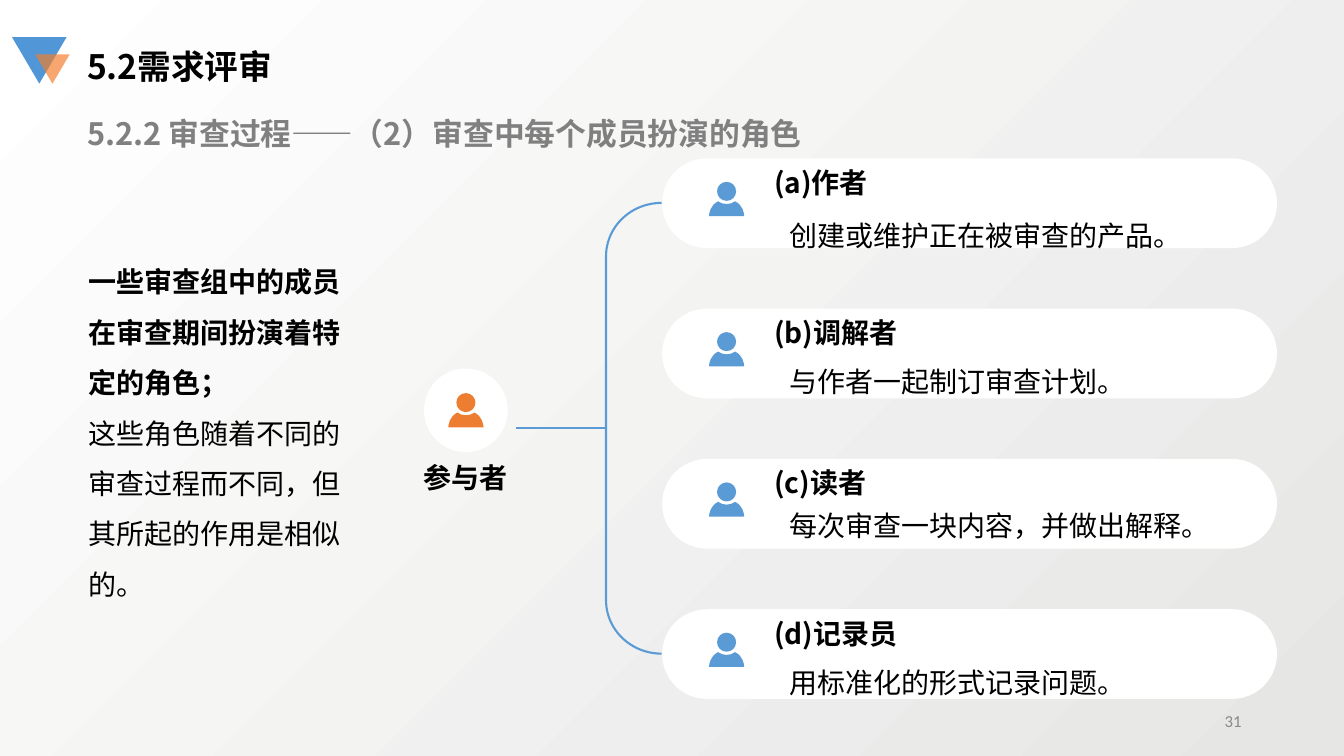
from lxml.etree import Element, SubElement
from pptx import Presentation
from pptx.dml.color import RGBColor
from pptx.enum.shapes import MSO_CONNECTOR as Connector, MSO_SHAPE as Shape
from pptx.enum.text import MSO_ANCHOR as Anchor, PP_ALIGN as Align
from pptx.oxml.ns import qn
from pptx.util import Pt

HEADING_FONT = "Noto Sans CJK SC"
BODY_FONT = "Calibri"
BLUE, ORANGE, WHITE, BLACK = "5B9BD5", "ED7D31", "FFFFFF", "000000"

ROLES = [
    # title, description, drop of the description below the card top
    ("(a)作者", "创建或维护正在被审查的产品。", 31.9),
    ("(b)调解者", "与作者一起制订审查计划。", 29.5),
    ("(c)读者", "每次审查一块内容，并做出解释。", 24.9),
    ("(d)记录员", "用标准化的形式记录问题。", 29.5),
]
FIRST_CARD_TOP, CARD_PITCH = 113.1, 107.35
CARD_LEFT, CARD_WIDTH, CARD_HEIGHT = 473, 439.2, 64.1

# Each outline is a start followed by curves of two handles and an end.
HEAD = [(5.8, 6.8), (5.8, 3.05), (8.85, 0), (12.6, 0),
        (16.35, 0), (19.4, 3.05), (19.4, 6.8),
        (19.4, 10.55), (16.35, 13.6), (12.6, 13.6),
        (8.85, 13.6), (5.8, 10.55), (5.8, 6.8)]
BODY = [(0, 24.5), (0.2, 22.3), (0.8, 16.8), (6.5, 13.9),
        (8.3, 15.2), (10.4, 15.9), (12.6, 15.9),
        (14.8, 15.9), (16.9, 15.2), (18.7, 13.9),
        (24.4, 16.8), (25, 22.3), (25.2, 24.5)]


def rgb(color):
    return RGBColor.from_string(color)


def paint(shape, fill):
    shape.shadow.inherit = False
    shape.fill.solid()
    shape.fill.fore_color.rgb = rgb(fill)
    shape.line.fill.background()


def add_filled(slide, kind, left, top, width, height, fill):
    shape = slide.shapes.add_shape(kind, Pt(left), Pt(top), Pt(width), Pt(height))
    paint(shape, fill)
    return shape


def add_text(slide, left, top, width, height, lines, size, font=HEADING_FONT,
             color=BLACK, align=Align.LEFT, anchor=Anchor.TOP, spacing=None, level=0):
    """Add a text box; lines holds (text, bold) pairs, one per paragraph."""
    frame = slide.shapes.add_textbox(Pt(left), Pt(top), Pt(width), Pt(height)).text_frame
    frame.word_wrap = True
    frame.vertical_anchor = anchor
    for index, (text, bold) in enumerate(lines):
        paragraph = frame.add_paragraph() if index else frame.paragraphs[0]
        paragraph.text = text
        paragraph.alignment = align
        paragraph.level = level
        paragraph.line_spacing = spacing
        paragraph.font.size = Pt(size)
        paragraph.font.bold = bold
        paragraph.font.color.rgb = rgb(color)
        paragraph.font.name = font
        defaults = paragraph._p.pPr.find(qn("a:defRPr"))
        SubElement(defaults, qn("a:ea"), typeface=HEADING_FONT)


def curve_segments(shape):
    """Turn every three straight segments into one cubic curve."""
    segments = list(shape._element.iter(qn("a:lnTo")))
    for first in range(0, len(segments), 3):
        cubic = Element(qn("a:cubicBezTo"))
        segments[first].addprevious(cubic)
        for segment in segments[first:first + 3]:
            cubic.append(segment[0])
            segment.getparent().remove(segment)


def add_person(slide, left, top, fill):
    head, body = ([(Pt(left + x), Pt(top + y)) for x, y in outline]
                  for outline in (HEAD, BODY))
    builder = slide.shapes.build_freeform(*head[0])
    builder.add_line_segments(head[1:])
    builder.move_to(*body[0])
    builder.add_line_segments(body[1:])
    person = builder.convert_to_shape()
    curve_segments(person)
    paint(person, fill)


def add_emblem(slide):
    large = add_filled(slide, Shape.ISOSCELES_TRIANGLE, 8.6, 26.6, 38.9, 33.1, "5197D7")
    small = add_filled(slide, Shape.ISOSCELES_TRIANGLE, 25.2, 38.9, 24.5, 20.9, "F37D2A")
    for triangle in (large, small):
        triangle.rotation = 180
    tint = small.fill._xPr.find(qn("a:solidFill")).find(qn("a:srgbClr"))
    SubElement(tint, qn("a:alpha"), val="68000")


def add_branches(slide):
    bracket = slide.shapes.add_shape(
        Shape.RIGHT_BRACKET, Pt(432.9), Pt(144.9), Pt(39.7), Pt(322))
    bracket.rotation = 180
    bracket.adjustments[0] = 0.96
    bracket.shadow.inherit = False
    bracket.fill.background()
    stem = slide.shapes.add_connector(
        Connector.STRAIGHT, Pt(368.6), Pt(305.8), Pt(432.9), Pt(305.8))
    SubElement(stem._element.spPr, qn("a:effectLst"))
    for part in (bracket, stem):
        part.line.color.rgb = rgb(BLUE)
        part.line.width = Pt(1.5)


def add_participant(slide):
    add_filled(slide, Shape.OVAL, 302.9, 263.2, 59.8, 59.8, WHITE)
    add_person(slide, 320.2, 280.8, ORANGE)
    add_text(slide, 278.9, 323.6, 107.3, 35.3, [("参与者", True)], 20, BODY_FONT,
             align=Align.CENTER, anchor=Anchor.MIDDLE)


def add_role(slide, top, title, description, drop):
    card = add_filled(slide, Shape.ROUNDED_RECTANGLE,
                      CARD_LEFT, top, CARD_WIDTH, CARD_HEIGHT, WHITE)
    card.adjustments[0] = 0.5
    add_text(slide, 545.8, top - 0.7, 315.4, 35.3, [(title, True)], 20,
             anchor=Anchor.MIDDLE)
    add_person(slide, 506.4, top + 16.8, BLUE)
    add_text(slide, 556.6, top + drop, 331.2, 36, [(description, False)], 20,
             BODY_FONT, spacing=1.3)


def set_background(slide):
    fill = slide.background.fill
    fill.gradient()
    fill.gradient_angle = 135
    for stop, color, position in zip(fill.gradient_stops, ("E6E6E5", WHITE), (0, 1)):
        stop.color.rgb = rgb(color)
        stop.position = position


def main():
    deck = Presentation()
    deck.slide_width, deck.slide_height = Pt(960), Pt(540)
    slide = deck.slides.add_slide(deck.slide_layouts[6])
    set_background(slide)
    add_emblem(slide)
    add_text(slide, 55.2, 29.2, 241.2, 36, [("5.2需求评审", True)], 24)
    add_text(slide, 55.2, 78.5, 540, 33.8,
             [("5.2.2 审查过程——（2）审查中每个成员扮演的角色", True)], 22, color="808080")
    add_text(slide, 20.2, 173.7, 249.8, 256.3,
             [("一些审查组中的成员在审查期间扮演着特定的角色；", True),
              ("这些角色随着不同的审查过程而不同，但其所起的作用是相似的。", False)],
             20, spacing=1.5, level=1)
    add_branches(slide)
    add_participant(slide)
    for index, role in enumerate(ROLES):
        add_role(slide, FIRST_CARD_TOP + index * CARD_PITCH, *role)
    add_text(slide, 678, 500.4, 216, 28.8, [("31", False)], 12, BODY_FONT,
             "898989", Align.RIGHT, Anchor.MIDDLE)
    deck.save("out.pptx")


if __name__ == "__main__":
    main()
